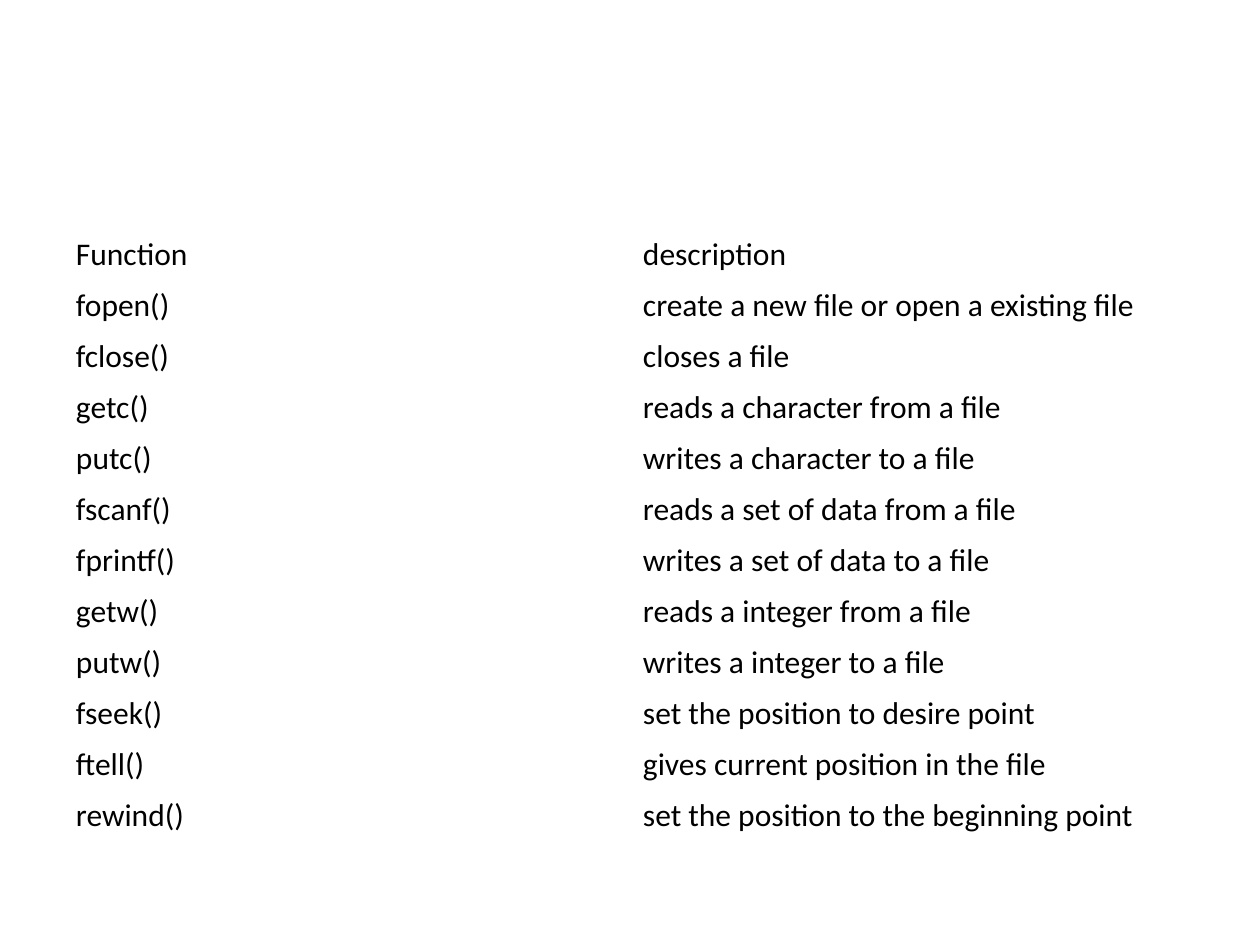
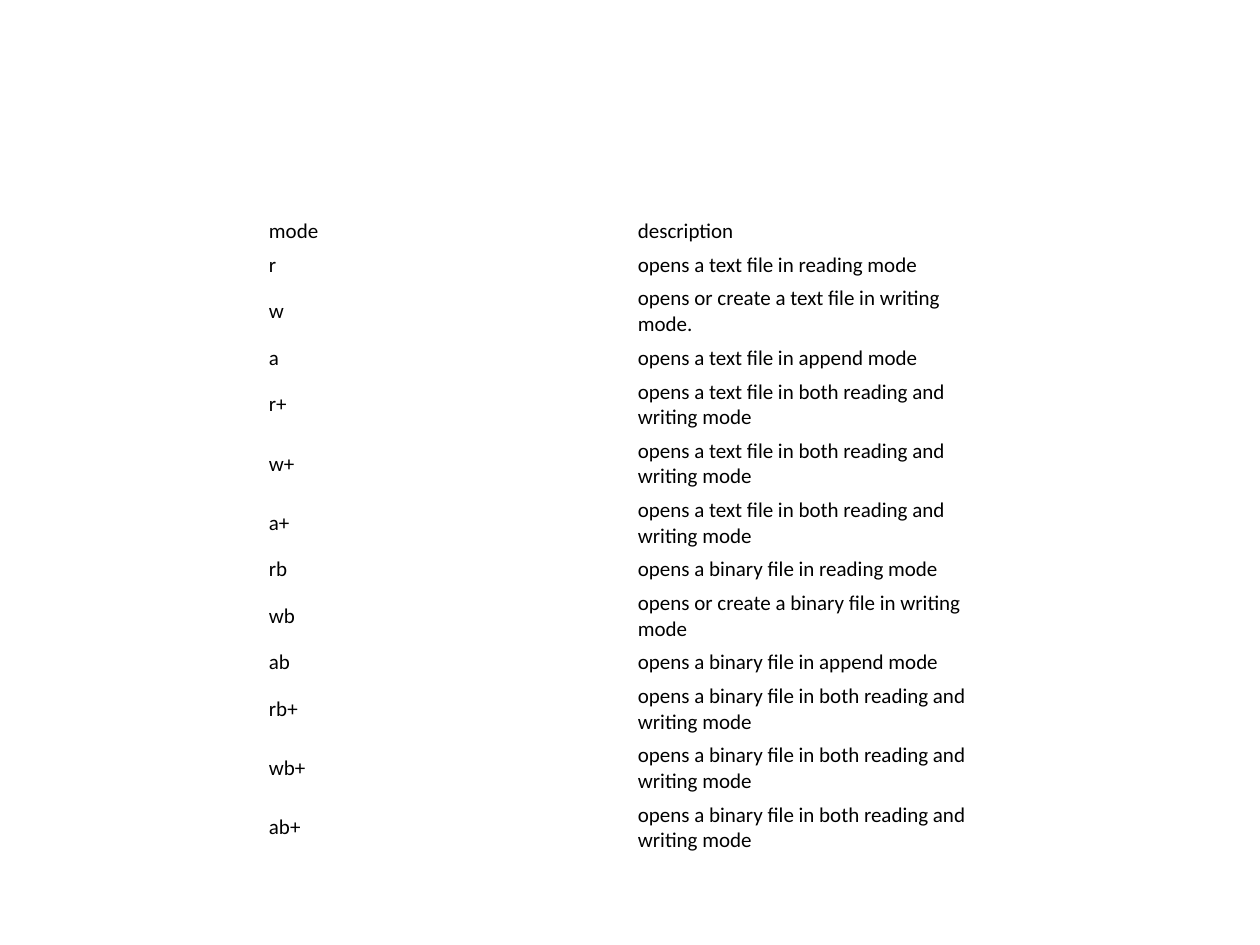
from pptx import Presentation
from pptx.dml.color import RGBColor
from pptx.enum.text import MSO_ANCHOR
from pptx.util import Emu, Pt

MIDDLE = MSO_ANCHOR.MIDDLE
PX_PER_INCH = 126
EMU_PER_INCH = 914400
BLANK_LAYOUT = 6
WRAP_LENGTH = 40

FUNCTIONS = [
    ("Function", "description"),
    ("fopen()", "create a new file or open a existing file"),
    ("fclose()", "closes a file"),
    ("getc()", "reads a character from a file"),
    ("putc()", "writes a character to a file"),
    ("fscanf()", "reads a set of data from a file"),
    ("fprintf()", "writes a set of data to a file"),
    ("getw()", "reads a integer from a file"),
    ("putw()", "writes a integer to a file"),
    ("fseek()", "set the position to desire point"),
    ("ftell()", "gives current position in the file"),
    ("rewind()", "set the position to the beginning point"),
]

TEXT_BOTH = "opens a text file in both reading and writing mode"
BINARY_BOTH = "opens a binary file in both reading and writing mode"
MODES = [
    ("mode", "description"),
    ("r", "opens a text file in reading mode"),
    ("w", "opens or create a text file in writing mode."),
    ("a", "opens a text file in append mode"),
    ("r+", TEXT_BOTH),
    ("w+", TEXT_BOTH),
    ("a+", TEXT_BOTH),
    ("rb", "opens a binary file in reading mode"),
    ("wb", "opens or create a binary file in writing mode"),
    ("ab", "opens a binary file in append mode"),
    ("rb+", BINARY_BOTH),
    ("wb+", BINARY_BOTH),
    ("ab+", BINARY_BOTH),
]


def px(length):
    return Emu(round(length * EMU_PER_INCH / PX_PER_INCH))


def color(hex_value):
    return RGBColor.from_string(hex_value)


class Deck:
    """Holds the shared style and the current slide."""

    font = "Calibri"
    ink = "000000"
    paper = "FFFFFF"

    def __init__(self, width, height):
        self.presentation = Presentation()
        self.presentation.slide_width = px(width)
        self.presentation.slide_height = px(height)
        self.slide = None

    def add_slide(self):
        layout = self.presentation.slide_layouts[BLANK_LAYOUT]
        self.slide = self.presentation.slides.add_slide(layout)
        fill = self.slide.background.fill
        fill.solid()
        fill.fore_color.rgb = color(self.paper)

    def add_table(self, rows, left, top, column_width, heights, size, insets):
        columns = len(rows[0])
        shape = self.slide.shapes.add_table(
            len(rows), columns, px(left), px(top),
            px(column_width * columns), px(sum(heights)))
        table = shape.table
        table.first_row = False
        table.horz_banding = False
        for column in table.columns:
            column.width = px(column_width)
        for row, height, texts in zip(table.rows, heights, rows):
            row.height = px(height)
            for cell, text in zip(row.cells, texts):
                self.fill_cell(cell, text, size, insets)

    def fill_cell(self, cell, text, size, insets):
        side, edge = insets
        cell.fill.background()
        cell.vertical_anchor = MIDDLE
        cell.margin_left = cell.margin_right = px(side)
        cell.margin_top = cell.margin_bottom = px(edge)
        cell.text_frame.text = text
        font = cell.text_frame.paragraphs[0].runs[0].font
        font.name = self.font
        font.size = Pt(size)
        font.color.rgb = color(self.ink)


def main():
    deck = Deck(1260, 945)

    deck.add_slide()
    deck.add_table(FUNCTIONS, 63, 229, 567, [51] * len(FUNCTIONS), 18, (13, 6))

    deck.add_slide()
    heights = [59 if len(description) > WRAP_LENGTH else 34
               for _, description in MODES]
    deck.add_table(MODES, 260, 214, 369, heights, 12, (9, 4))

    deck.presentation.save("out.pptx")


if __name__ == "__main__":
    main()
